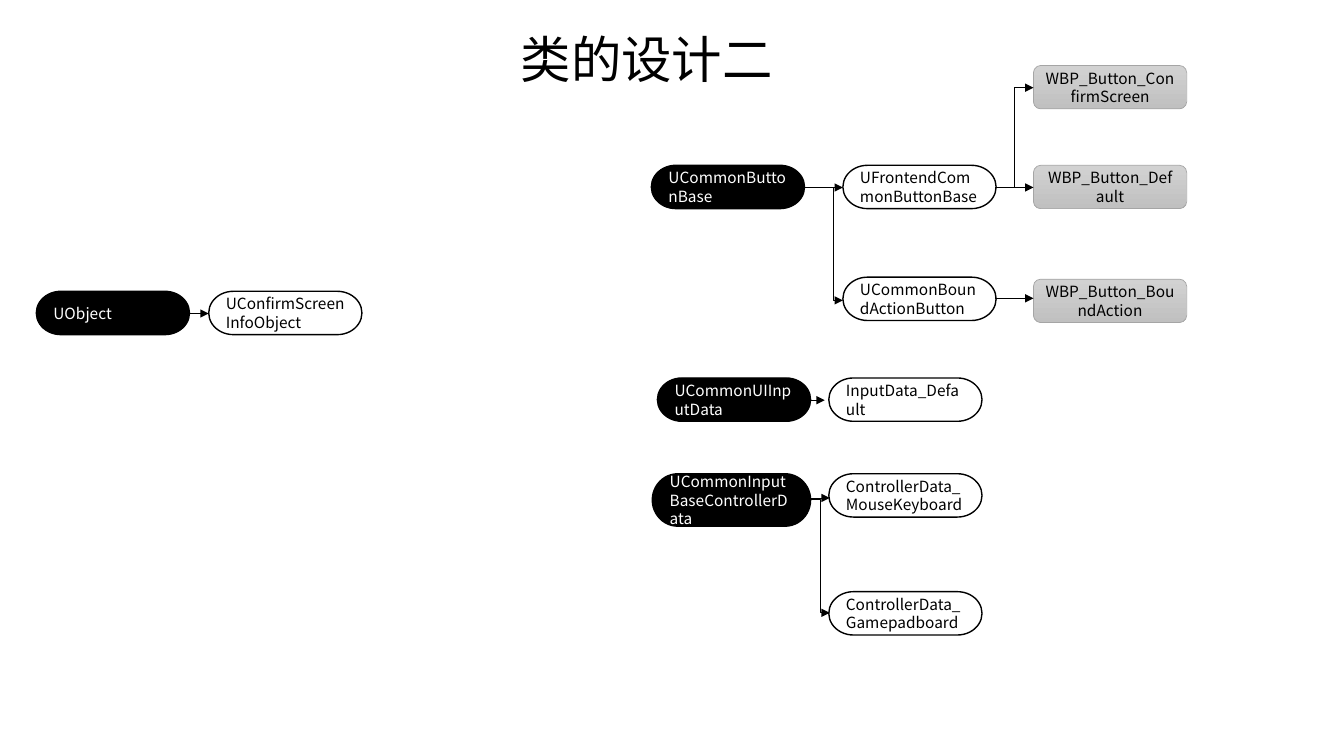
from dataclasses import dataclass
from typing import Any

from lxml.etree import SubElement
from pptx import Presentation
from pptx.dml.color import RGBColor
from pptx.enum.shapes import MSO_CONNECTOR, MSO_SHAPE
from pptx.enum.text import MSO_ANCHOR, MSO_AUTO_SIZE, PP_ALIGN
from pptx.oxml.ns import qn
from pptx.util import Pt

PX = 9144  # EMU in one px, 100 px to the inch
FONT = "Noto Sans CJK SC"
BLACK = RGBColor(0, 0, 0)
WHITE = RGBColor(255, 255, 255)
LIGHT = RGBColor(0xD2, 0xD2, 0xD2)
DARK = RGBColor(0xC0, 0xC0, 0xC0)
EDGE = RGBColor(0xA5, 0xA5, 0xA5)


@dataclass(frozen=True)
class Style:
    form: MSO_SHAPE
    fill: RGBColor
    ink: RGBColor
    edge: RGBColor
    width: float
    align: PP_ALIGN
    shade: RGBColor | None = None


@dataclass(frozen=True)
class Node:
    text: str
    left: int
    top: int
    style: Style
    width: int = 152
    height: int = 43


@dataclass(frozen=True)
class Link:
    x1: int
    y1: int
    x2: int
    y2: int


BASE = Style(MSO_SHAPE.FLOWCHART_TERMINATOR, BLACK, WHITE, BLACK, 1, PP_ALIGN.LEFT)
CHILD = Style(MSO_SHAPE.FLOWCHART_TERMINATOR, WHITE, BLACK, BLACK, 1, PP_ALIGN.LEFT)
WIDGET = Style(MSO_SHAPE.ROUNDED_RECTANGLE, LIGHT, BLACK, EDGE, 0.5,
               PP_ALIGN.CENTER, DARK)

NODES = [
    Node("UObject", 36, 289, BASE),
    Node("UConfirmScreenInfoObject", 207, 289, CHILD),
    Node("UCommonButtonBase", 646, 164, BASE),
    Node("UFrontendCommonButtonBase", 836, 164, CHILD),
    Node("UCommonBoundActionButton", 836, 275, CHILD),
    Node("WBP_Button_ConfirmScreen", 1025, 65, WIDGET),
    Node("WBP_Button_Default", 1025, 164, WIDGET),
    Node("WBP_Button_BoundAction", 1025, 277, WIDGET),
    Node("UCommonUIInputData", 652, 375, BASE),
    Node("InputData_Default", 822, 375, CHILD),
    Node("UCommonInputBaseControllerData", 647, 470, BASE, 157, 52),
    Node("ControllerData_MouseKeyboard", 822, 470, CHILD),
    Node("ControllerData_Gamepadboard", 822, 587, CHILD),
]

LINKS = [
    Link(188, 311, 207, 311),
    Link(798, 186, 836, 186),
    Link(817, 186, 836, 298),
    Link(987, 186, 1025, 186),
    Link(987, 186, 1025, 87),
    Link(987, 296, 1025, 296),
    Link(800, 397, 818, 397),
    Link(804, 494, 823, 494),
    Link(804, 495, 823, 608),
]


def apply(item: Any, values: dict[str, Any]) -> None:
    for name, value in values.items():
        setattr(item, name, value)


def place(item: Any, left: int, top: int, width: int, height: int) -> None:
    apply(item, {"left": left * PX, "top": top * PX,
                 "width": width * PX, "height": height * PX})


def write(item: Any, text: str, size: int, ink: RGBColor, align: PP_ALIGN) -> None:
    para = item.text_frame.paragraphs[0]
    para.alignment = align
    run = para.add_run()
    run.text = text
    apply(run.font, {"name": FONT, "size": Pt(size)})
    run.font.color.rgb = ink
    SubElement(run.font._element, qn("a:ea"), typeface=FONT)


def draw_title(slide: Any, text: str) -> None:
    title = slide.shapes.title
    place(title, 503, 25, 277, 69)
    apply(title.text_frame, {"auto_size": MSO_AUTO_SIZE.NONE, "word_wrap": True,
                             "vertical_anchor": MSO_ANCHOR.BOTTOM})
    write(title, text, 36, BLACK, PP_ALIGN.CENTER)
    title.text_frame.paragraphs[0].line_spacing = 0.9


def draw_node(slide: Any, node: Node) -> None:
    style = node.style
    box = slide.shapes.add_shape(style.form, 0, 0, 0, 0)
    place(box, node.left, node.top, node.width, node.height)
    box.shadow.inherit = False
    if style.shade is None:
        box.fill.solid()
        box.fill.fore_color.rgb = style.fill
    else:
        box.fill.gradient()
        box.fill.gradient_angle = 270
        for stop, tone in zip(box.fill.gradient_stops, (style.fill, style.shade)):
            stop.color.rgb = tone
    box.line.color.rgb = style.edge
    box.line.width = Pt(style.width)
    box.text_frame.vertical_anchor = MSO_ANCHOR.MIDDLE
    write(box, node.text, 11, style.ink, style.align)


def draw_link(slide: Any, link: Link) -> None:
    """Draw an arrow, bent where its ends differ in height."""
    kind = MSO_CONNECTOR.STRAIGHT if link.y1 == link.y2 else MSO_CONNECTOR.ELBOW
    arrow = slide.shapes.add_connector(
        kind, link.x1 * PX, link.y1 * PX, link.x2 * PX, link.y2 * PX)
    arrow.line.color.rgb = BLACK
    arrow.line.width = Pt(0.5)
    SubElement(arrow.line._get_or_add_ln(), qn("a:tailEnd"), type="triangle")
    SubElement(arrow._element.spPr, qn("a:effectLst"))


def main() -> None:
    deck = Presentation()
    apply(deck, {"slide_width": 1333 * PX, "slide_height": 750 * PX})
    slide = deck.slides.add_slide(deck.slide_layouts[0])
    sub = slide.placeholders[1].element
    sub.getparent().remove(sub)
    draw_title(slide, "类的设计二")
    for node in NODES:
        draw_node(slide, node)
    for link in LINKS:
        draw_link(slide, link)
    deck.save("out.pptx")


if __name__ == "__main__":
    main()
